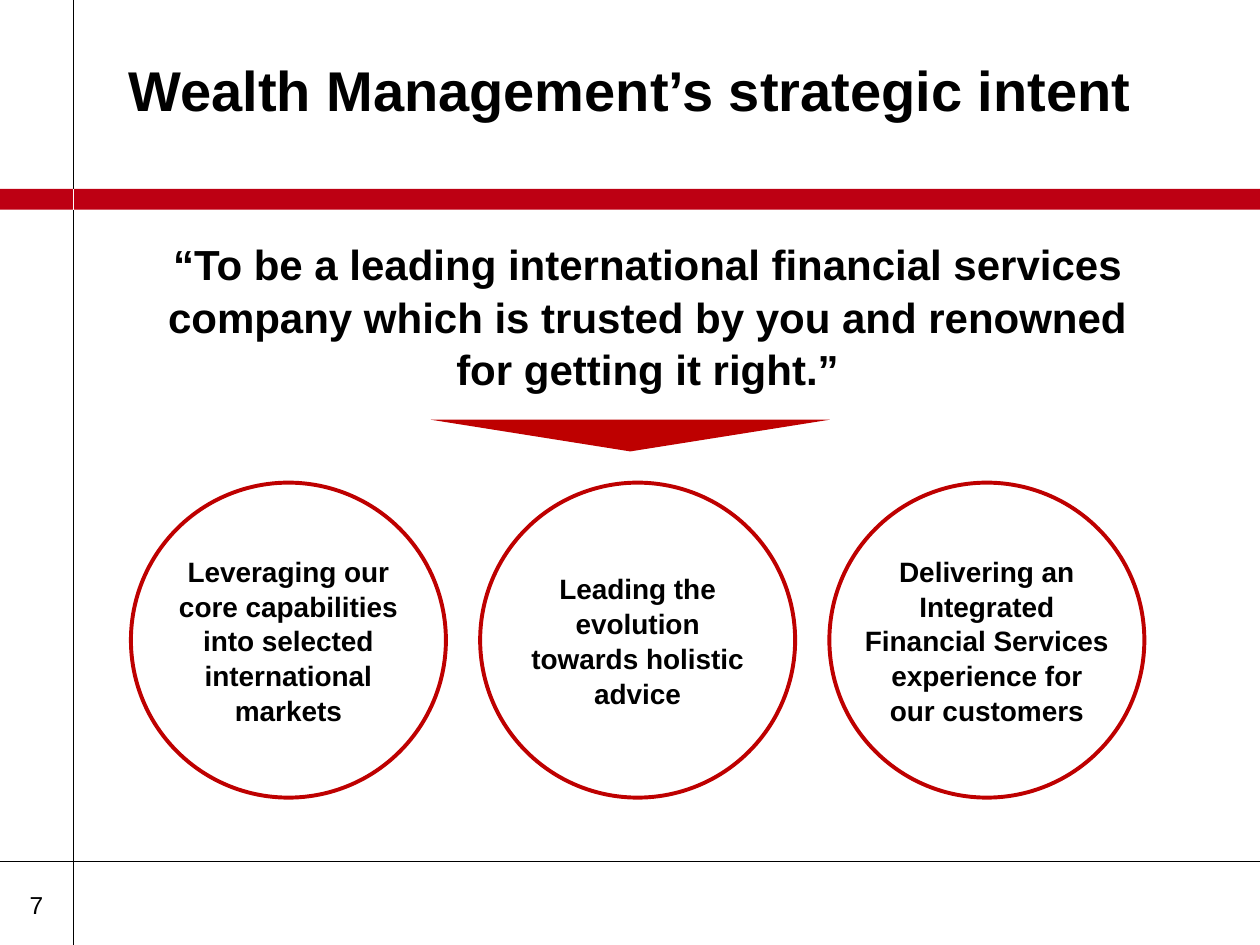
from dataclasses import dataclass

from lxml.etree import SubElement
from pptx import Presentation
from pptx.dml.color import RGBColor
from pptx.enum.shapes import MSO_CONNECTOR, MSO_SHAPE
from pptx.enum.text import MSO_ANCHOR, PP_ALIGN
from pptx.oxml.ns import qn
from pptx.util import Cm, Pt

BLACK = RGBColor(0, 0, 0)
WHITE = RGBColor(255, 255, 255)
BAR_RED = RGBColor(0xBD, 0x00, 0x13)
RED = RGBColor(0xBE, 0x00, 0x00)

WIDE, HIGH = 25.4, 19.05
RULE_X, RULE_Y = 1.48, 17.37
BAR_TOP, BAR_HIGH = 3.81, 0.42
RING_LEFT, RING_TOP, RING_SIZE, RING_STEP = 2.64, 9.73, 6.35, 7.04


@dataclass
class Box:
    left: float
    top: float
    width: float
    height: float

    def place(self) -> tuple:
        return Cm(self.left), Cm(self.top), Cm(self.width), Cm(self.height)


@dataclass
class Goal:
    text: str
    wrap: bool = True


GOALS = [
    Goal("Leveraging our core capabilities into selected international markets"),
    Goal("Leading the evolution towards holistic advice"),
    Goal("Delivering an\nIntegrated\nFinancial Services\nexperience for\nour customers", False),
]


def set_text(frame, text: str, size: int, bold: bool = True,
             align=PP_ALIGN.CENTER, space: float = 1.0) -> None:
    frame.text = text
    for para in frame.paragraphs:
        para.alignment = align
        para.line_spacing = space
        for run in para.runs:
            run.font.name = "Arial"
            run.font.size = Pt(size)
            run.font.bold = bold
            run.font.color.rgb = BLACK


def add_text(slide, box: Box, text: str, size: int, **style):
    frame = slide.shapes.add_textbox(*box.place()).text_frame
    frame.word_wrap = True
    set_text(frame, text, size, **style)
    return frame


def add_rule(slide, x1: float, y1: float, x2: float, y2: float, color: RGBColor) -> None:
    rule = slide.shapes.add_connector(
        MSO_CONNECTOR.STRAIGHT, Cm(x1), Cm(y1), Cm(x2), Cm(y2))
    rule.line.color.rgb = color
    rule.line.width = Pt(0.5)
    SubElement(rule._element.spPr, qn("a:effectLst"))


def add_solid(slide, kind, box: Box, color: RGBColor):
    shape = slide.shapes.add_shape(kind, *box.place())
    shape.shadow.inherit = False
    shape.fill.solid()
    shape.fill.fore_color.rgb = color
    shape.line.fill.background()
    return shape


def add_ring(slide, box: Box, goal: Goal) -> None:
    ring = add_solid(slide, MSO_SHAPE.OVAL, box, WHITE)
    ring.line.color.rgb = RED
    ring.line.width = Pt(2.25)
    frame = ring.text_frame
    frame.margin_left = frame.margin_right = 0
    frame.margin_top = frame.margin_bottom = Cm(0.1)
    frame.vertical_anchor = MSO_ANCHOR.MIDDLE
    frame.word_wrap = goal.wrap
    set_text(frame, goal.text, 16, space=1.04)


def main() -> None:
    deck = Presentation()
    deck.slide_width, deck.slide_height = Cm(WIDE), Cm(HIGH)
    slide = deck.slides.add_slide(deck.slide_layouts[6])

    # Frame: page number, rules and red bar
    add_text(slide, Box(0.1, 17.81, 1.27, 0.94), "7", 14, bold=False)
    add_rule(slide, RULE_X, 0, RULE_X, HIGH, BLACK)
    add_rule(slide, 0, RULE_Y, WIDE, RULE_Y, BLACK)
    add_solid(slide, MSO_SHAPE.RECTANGLE, Box(0, BAR_TOP, WIDE, BAR_HIGH), BAR_RED)
    add_rule(slide, RULE_X, BAR_TOP, RULE_X, BAR_TOP + BAR_HIGH, WHITE)

    # Title and vision
    title = add_text(slide, Box(2.34, 0.84, 21.72, 1.9),
                     "Wealth Management’s strategic intent", 32, align=PP_ALIGN.LEFT)
    title.vertical_anchor = MSO_ANCHOR.MIDDLE
    add_text(slide, Box(2.54, 4.65, 21.03, 3.25),
             "“To be a leading international financial services company which is "
             "trusted by you and renowned for getting it right.”", 24, space=1.04)

    # Pointer down to the goals
    arrow = add_solid(slide, MSO_SHAPE.ISOSCELES_TRIANGLE, Box(8.68, 8.46, 8.05, 0.64), RED)
    arrow.rotation = 180

    # Goals in rings
    for i, goal in enumerate(GOALS):
        left = RING_LEFT + i * RING_STEP
        add_ring(slide, Box(left, RING_TOP, RING_SIZE, RING_SIZE), goal)

    deck.save("out.pptx")


if __name__ == "__main__":
    main()
